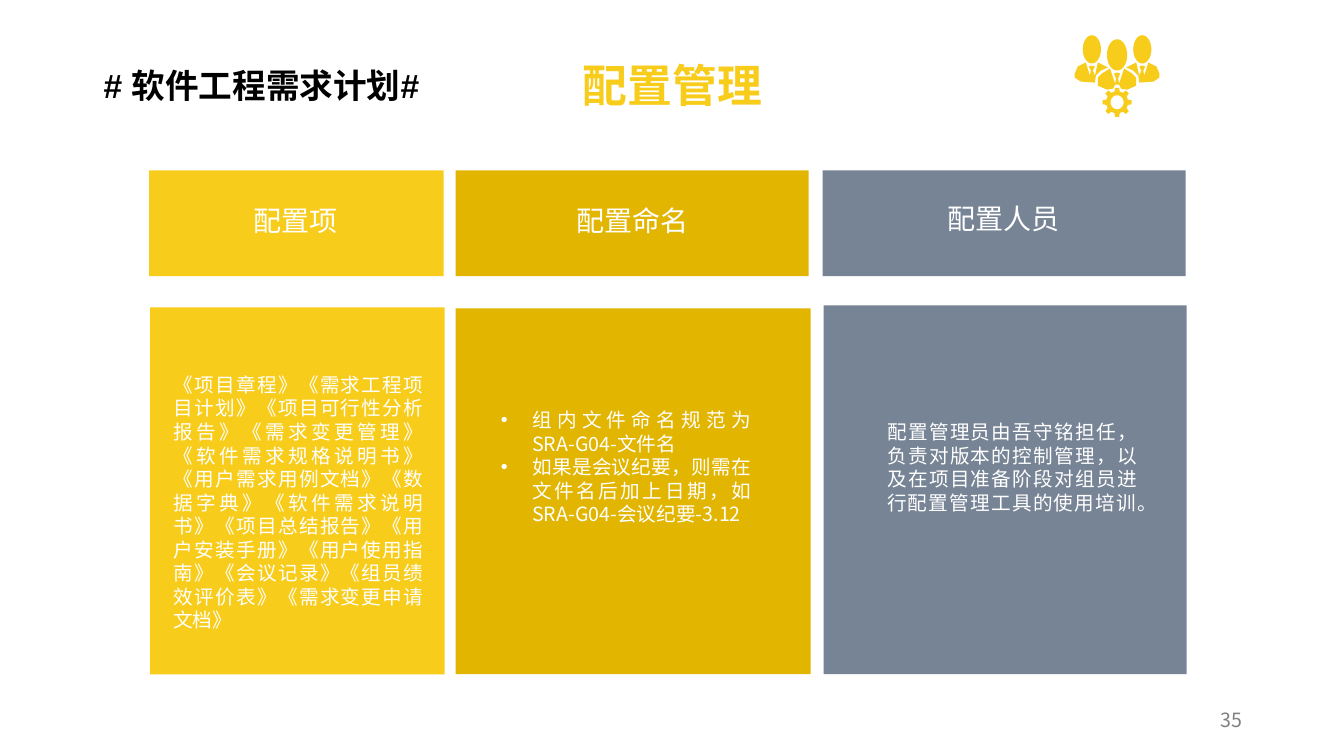
from math import cos, pi, sin

from lxml.etree import SubElement
from pptx import Presentation
from pptx.dml.color import RGBColor
from pptx.enum.shapes import MSO_SHAPE
from pptx.enum.text import MSO_ANCHOR, PP_ALIGN
from pptx.oxml.ns import qn
from pptx.util import Inches, Pt

# The slide is a grid of 1333 columns by 750 rows of square cells
CELL = Inches(0.01)
COLS, ROWS = 1333, 750

YELLOW, GOLD, SLATE = "F8CC1B", "E2B500", "778495"
WHITE, BLACK, GREY = "FFFFFF", "000000", "808080"
CJK = "Noto Sans CJK SC"

ITEMS = (
    "《项目章程》《需求工程项目计划》《项目可行性分析报告》《需求变更管理》"
    "《软件需求规格说明书》《用户需求用例文档》《数据字典》《软件需求说明书》"
    "《项目总结报告》《用户安装手册》《用户使用指南》《会议记录》"
    "《组员绩效评价表》《需求变更申请文档》"
)
NAMING = (
    "组内文件命名规范为 SRA-G04-文件名",
    "如果是会议纪要，则需在文件名后加上日期，如 SRA-G04-会议纪要-3.12",
)
STAFF = (
    "配置管理员由吾守铭担任，负责对版本的控制管理，"
    "以及在项目准备阶段对组员进行配置管理工具的使用培训。"
)

# Colour, header block, header text corner, body block, body text box
HEADER_ROW, HEADER_HEIGHT = 169, 105
COLUMNS = [
    (YELLOW, "配置项", (148, 292), (191, 197),
     (149, 305, 292, 364), (ITEMS,), (162, 365, 268, 246)),
    (GOLD, "配置命名", (452, 350), (525, 197),
     (452, 306, 352, 363), NAMING, (487, 400, 268, 128)),
    (SLATE, "配置人员", (816, 360), (893, 195),
     (817, 303, 360, 366), (STAFF,), (870, 412, 268, 104)),
]

# Icon outlines in cells, x measured from the icon's axis
AXIS = 1108
FRONT_HALF = [(0, 72), (3, 73), (1, 78), (2, 83), (7, 68), (15, 73),
              (19, 77), (19, 85), (10, 89), (4, 88), (2, 84)]
REAR_BODY = [(25, 65), (28, 66), (26, 70), (27, 75), (31, 62), (39, 66),
             (42, 73), (42, 77), (36, 81), (22, 82), (21, 75), (16, 70),
             (9, 67), (19, 62), (22, 75), (24, 70), (22, 66)]


def rgb(colour):
    return RGBColor.from_string(colour)


def cells(*lengths):
    return [round(n * CELL) for n in lengths]


def paint(shape, colour):
    shape.shadow.inherit = False
    shape.fill.solid()
    shape.fill.fore_color.rgb = rgb(colour)
    shape.line.fill.background()


def add_block(s, box, colour):
    paint(s.shapes.add_shape(MSO_SHAPE.RECTANGLE, *cells(*box)), colour)


def add_bullet(p):
    pPr = p._p.get_or_add_pPr()
    pPr.set("marL", str(Inches(0.31)))
    pPr.set("indent", str(-Inches(0.31)))
    SubElement(pPr, qn("a:buFont")).set("typeface", "Arial")
    SubElement(pPr, qn("a:buChar")).set("char", "•")


def add_text(s, box, lines, size, colour, align, font=CJK, bold=False,
             anchor=MSO_ANCHOR.TOP, spacing=None, bullets=False):
    tf = s.shapes.add_textbox(*cells(*box)).text_frame
    tf.word_wrap = True
    tf.vertical_anchor = anchor
    tf.text = "\n".join(lines)
    for p in tf.paragraphs:
        p.alignment = align
        p.line_spacing = spacing
        if bullets:
            add_bullet(p)
        for r in p.runs:
            r.font.size = Pt(size)
            r.font.bold = bold
            r.font.name = font
            r.font.color.rgb = rgb(colour)
            SubElement(r._r.get_or_add_rPr(), qn("a:ea")).set("typeface", CJK)


def add_label(s, box, lines, size, colour, align, bullets=False):
    add_text(s, box, lines, size, colour, align,
             spacing=Pt(1.2 * size), bullets=bullets)


def mirror(points):
    return [(-x, y) for x, y in points]


def oval(x, y, rx, ry, steps=32):
    turns = [2 * pi * i / steps for i in range(steps)]
    return [(x + rx * cos(t), y + ry * sin(t)) for t in turns]


def gear(y, root, tip, teeth=8):
    points = []
    for i in range(teeth):
        for shift, radius in ((-0.3, root), (-0.18, tip), (0.18, tip), (0.3, root)):
            t = 2 * pi * (i + shift) / teeth
            points.append((radius * cos(t), y + radius * sin(t)))
    return points


def add_team_icon(s):
    outlines = [
        oval(0, 54.5, 10, 15.5),
        oval(-25, 49, 9, 14),
        oval(25, 49, 9, 14),
        FRONT_HALF + mirror(FRONT_HALF)[::-1],
        REAR_BODY,
        mirror(REAR_BODY),
        gear(101.5, 11, 14.5),
        oval(0, 101.5, 6.5, 7)[::-1],
    ]
    outlines = [[cells(AXIS + x, y) for x, y in points] for points in outlines]
    builder = s.shapes.build_freeform(*outlines[0][0])
    for i, points in enumerate(outlines):
        if i:
            builder.move_to(*points[0])
        builder.add_line_segments(points[1:], close=True)
    paint(builder.convert_to_shape(), YELLOW)


def main():
    prs = Presentation()
    prs.slide_width, prs.slide_height = cells(COLS, ROWS)
    s = prs.slides.add_slide(prs.slide_layouts[6])

    # Three columns: header above body
    for colour, name, (left, width), corner, body, lines, box in COLUMNS:
        add_block(s, body, colour)
        add_block(s, (left, HEADER_ROW, width, HEADER_HEIGHT), colour)
        add_label(s, (*corner, 205, 44), [name], 20, WHITE, PP_ALIGN.CENTER)
        add_label(s, box, lines, 14, WHITE, PP_ALIGN.JUSTIFY,
                  bullets=len(lines) > 1)

    # Titles, icon and page number
    add_text(s, (73, 52, 1188, 64), ["配置管理"], 32, YELLOW, PP_ALIGN.CENTER,
             font="Arial", bold=True, anchor=MSO_ANCHOR.MIDDLE)
    add_text(s, (93, -2, 1188, 112), ["# 软件工程需求计划#"], 24, BLACK,
             PP_ALIGN.LEFT, font="Arial", bold=True,
             anchor=MSO_ANCHOR.BOTTOM, spacing=0.9)
    add_team_icon(s)
    add_label(s, (942, 697, 300, 40), ["35"], 14, GREY, PP_ALIGN.RIGHT)

    prs.save("out.pptx")


if __name__ == "__main__":
    main()
